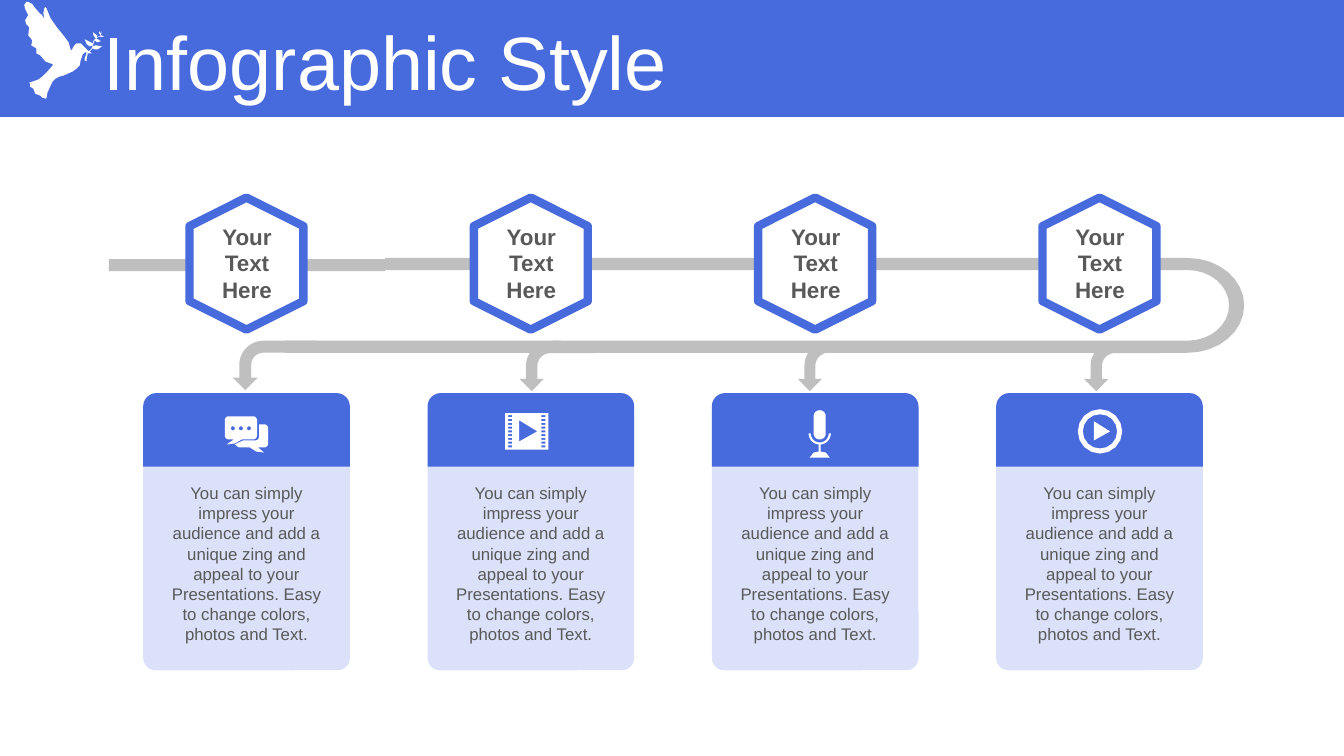
from dataclasses import dataclass
from math import cos, radians, sin

from pptx import Presentation
from pptx.dml.color import RGBColor
from pptx.enum.shapes import MSO_SHAPE as Preset
from pptx.enum.text import MSO_ANCHOR as Anchor, MSO_AUTO_SIZE as AutoSize, PP_ALIGN as Align
from pptx.util import Inches, Pt

COLORS = {"blue": "476ADD", "pale": "DAE1F8", "grey": "BFBFBF", "text": "595959", "white": "FFFFFF"}
FONT = "Arial"
PITCH = 2.82
STEP_TEXT = "Your Text Here"
CARD_TEXT = ("You can simply impress your audience and add a unique zing and appeal to your "
             "Presentations. Easy to change colors, photos and Text.")

Point = tuple[float, float]
Contour = list[Point]


@dataclass
class TurnArrow:
    top: float
    height: float
    thickness: float


ARROWS = [TurnArrow(3.21, 0.83, 0.24), TurnArrow(3.26, 0.75, 0.23),
          TurnArrow(3.22, 0.83, 0.22), TurnArrow(3.26, 0.75, 0.23)]

DOVE: Contour = [
    (0.35, 0.93), (0.33, 0.88), (0.3, 0.86), (0.3, 0.84), (0.29, 0.82), (0.32, 0.81), (0.38, 0.79),
    (0.42, 0.76), (0.47, 0.71), (0.53, 0.64), (0.45, 0.61), (0.4, 0.55), (0.36, 0.53), (0.36, 0.48),
    (0.31, 0.45), (0.32, 0.4), (0.28, 0.35), (0.29, 0.27), (0.26, 0.24), (0.25, 0.2), (0.28, 0.15),
    (0.25, 0.09), (0.24, 0.05), (0.26, 0.02), (0.28, 0.02), (0.32, 0.04), (0.34, 0.07), (0.4, 0.14),
    (0.41, 0.14), (0.44, 0.19), (0.43, 0.13), (0.44, 0.08), (0.45, 0.07), (0.46, 0.08), (0.5, 0.18),
    (0.57, 0.28), (0.62, 0.34), (0.68, 0.42), (0.7, 0.49), (0.71, 0.5), (0.73, 0.46), (0.76, 0.43),
    (0.8, 0.43), (0.85, 0.48), (0.88, 0.51), (0.91, 0.48), (0.92, 0.45), (0.89, 0.46), (0.86, 0.44),
    (0.84, 0.39), (0.88, 0.41), (0.92, 0.43), (0.93, 0.4), (0.95, 0.38), (0.93, 0.36), (0.92, 0.32),
    (0.96, 0.35), (0.96, 0.37), (1.0, 0.35), (0.98, 0.33), (0.99, 0.31), (1.0, 0.34), (1.01, 0.31),
    (1.0, 0.35), (1.03, 0.36), (1.01, 0.37), (0.99, 0.36), (0.95, 0.38), (0.97, 0.39), (1.0, 0.41),
    (0.96, 0.42), (0.94, 0.4), (0.93, 0.42), (0.92, 0.46), (0.95, 0.45), (1.01, 0.46), (0.97, 0.49),
    (0.94, 0.49), (0.92, 0.48), (0.89, 0.51), (0.91, 0.53), (0.87, 0.53), (0.86, 0.58), (0.86, 0.61),
    (0.84, 0.6), (0.84, 0.58), (0.86, 0.52), (0.84, 0.52), (0.82, 0.54), (0.81, 0.57), (0.8, 0.6),
    (0.79, 0.65), (0.76, 0.68), (0.72, 0.71), (0.63, 0.75), (0.59, 0.76), (0.55, 0.78), (0.52, 0.81),
    (0.47, 0.92), (0.46, 0.98), (0.42, 0.97), (0.4, 0.95)]


def arc(x: float, y: float, width: float, height: float, start: float, end: float) -> Contour:
    """Points along an ellipse with the given radii; degrees run clockwise from the right."""
    angles = [radians(start + (end - start) * step / 16) for step in range(17)]
    return [(x + width * cos(angle), y + height * sin(angle)) for angle in angles]


def circle(x: float, y: float, radius: float) -> Contour:
    return arc(x, y, radius, radius, 0, 360)


def block(left: float, top: float, right: float, bottom: float) -> Contour:
    return [(left, top), (right, top), (right, bottom), (left, bottom)]


def paint(shape, fill: str, line: str = "", weight: float = 0) -> None:
    shape.shadow.inherit = False
    shape.fill.solid()
    shape.fill.fore_color.rgb = RGBColor.from_string(COLORS[fill])
    if line:
        shape.line.color.rgb = RGBColor.from_string(COLORS[line])
        shape.line.width = Pt(weight)
    else:
        shape.line.fill.background()


def add_preset(page, kind, left: float, top: float, width: float, height: float, fill: str,
               line: str = "", weight: float = 0, rotation: float = 0, adjust: tuple = ()):
    shape = page.shapes.add_shape(kind, Inches(left), Inches(top), Inches(width), Inches(height))
    paint(shape, fill, line, weight)
    shape.rotation = rotation
    for index, value in enumerate(adjust):
        shape.adjustments[index] = value
    return shape


def add_outline(page, contours: list[Contour], fill: str) -> None:
    """Draw one freeform; a contour inside another becomes a hole."""
    scaled = [[(Inches(x), Inches(y)) for x, y in contour] for contour in contours]
    builder = page.shapes.build_freeform(*scaled[0][0], scale=1.0)
    for index, contour in enumerate(scaled):
        if index:
            builder.move_to(*contour[0])
        builder.add_line_segments(contour[1:], close=True)
    paint(builder.convert_to_shape(), fill)


def write(frame, text: str, size: float, color: str, bold: bool = False, align=Align.CENTER,
          spacing: float = 1.0) -> None:
    frame.word_wrap = True
    para = frame.paragraphs[0]
    para.alignment = align
    para.line_spacing = spacing
    para.space_before = Pt(0)
    span = para.add_run()
    span.text = text
    span.font.name = FONT
    span.font.size = Pt(size)
    span.font.bold = bold
    span.font.color.rgb = RGBColor.from_string(COLORS[color])


def add_label(page, left: float, top: float, width: float, height: float, text: str,
              size: float, bold: bool = False) -> None:
    box = page.shapes.add_textbox(Inches(left), Inches(top), Inches(width), Inches(height))
    write(box.text_frame, text, size, "text", bold)
    box.text_frame.auto_size = AutoSize.SHAPE_TO_FIT_TEXT


def add_header(page) -> None:
    title = page.shapes.title
    title.left, title.top, title.width, title.height = map(Inches, (0.93, 0.26, 11.85, 0.79))
    title.text_frame.vertical_anchor = Anchor.MIDDLE
    title.text_frame.auto_size = AutoSize.NONE
    write(title.text_frame, "Infographic Style", 54, "white", align=Align.LEFT, spacing=0.9)
    banner = add_preset(page, Preset.RECTANGLE, 0, 0, 13.33, 1.16, "blue")
    title.element.addprevious(banner.element)
    add_outline(page, [DOVE], "white")


def add_track(page) -> None:
    for left, top in ((1.08, 2.57), (2.83, 3.38)):
        add_preset(page, Preset.RECTANGLE, left, top, 2.74, 0.12, "grey")
    bend = ([(3.82, 2.56)] + arc(11.78, 3.03, 0.56, 0.47, -90, 90) + [(5.48, 3.5), (5.48, 3.38)]
            + arc(11.78, 3.03, 0.41, 0.35, 90, -90) + [(3.82, 2.68)])
    add_outline(page, [bend], "grey")
    for index, arrow in enumerate(ARROWS):
        shape = add_preset(page, Preset.BENT_ARROW, 2.48 + 2.8 * index, arrow.top, 0.49, arrow.height,
                           "grey", rotation=270, adjust=(arrow.thickness, 0.25, 0.25, 0.49))
        shape.element.spPr.xfrm.set("flipH", "1")


def add_step(page, shift: float) -> None:
    """Draw one hexagon with the card below it."""
    add_preset(page, Preset.HEXAGON, 1.79 + shift, 2.05, 1.31, 1.13, "white", "blue", 6, rotation=270)
    add_preset(page, Preset.ROUNDED_RECTANGLE, 1.42 + shift, 3.98, 2.05, 2.67, "pale", adjust=(0.06,))
    add_preset(page, Preset.ROUND_2_SAME_RECTANGLE, 1.42 + shift, 3.9, 2.05, 0.73, "blue",
               adjust=(0.18, 0))
    add_label(page, 1.93 + shift, 2.16, 1.04, 0.91, STEP_TEXT, 16, bold=True)
    add_label(page, 1.6 + shift, 4.74, 1.69, 1.72, CARD_TEXT, 12)


def chat_icon() -> list[Contour]:
    def corner(x: float, y: float, start: float, end: float) -> Contour:
        return arc(x, y, 0.04, 0.04, start, end)

    front = (corner(2.27, 4.17, 180, 270) + corner(2.51, 4.17, 270, 360) + corner(2.51, 4.32, 0, 90)
             + [(2.4, 4.36), (2.33, 4.4), (2.25, 4.41), (2.32, 4.36)] + corner(2.27, 4.32, 90, 180))
    rear = ([(2.57, 4.21)] + corner(2.62, 4.25, 270, 360) + corner(2.62, 4.4, 0, 90)
            + [(2.56, 4.44), (2.62, 4.49), (2.54, 4.48), (2.48, 4.44), (2.37, 4.44), (2.33, 4.41),
               (2.41, 4.37)] + corner(2.53, 4.33, 90, 0))
    return [front, rear] + [circle(2.31 + 0.08 * dot, 4.25, 0.02) for dot in range(3)]


def film_icon() -> list[Contour]:
    tops = [4.12 + 0.3 * row / 8 for row in range(9)]
    holes = [block(left, top, left + 0.04, top + 0.02) for left in (5.04, 5.37) for top in tops]
    return [block(5.01, 4.1, 5.44, 4.46), [(5.15, 4.17), (5.15, 4.38), (5.33, 4.28)]] + holes


def microphone_icon() -> list[Contour]:
    capsule = arc(8.13, 4.13, 0.06, 0.06, 180, 360) + arc(8.13, 4.3, 0.06, 0.06, 0, 180)
    stand = (arc(8.13, 4.3, 0.11, 0.11, 0, 85)
             + [(8.14, 4.48), (8.19, 4.49), (8.23, 4.54), (8.03, 4.54), (8.07, 4.49), (8.12, 4.48)]
             + arc(8.13, 4.3, 0.11, 0.11, 95, 180) + arc(8.13, 4.3, 0.09, 0.09, 180, 0))
    return [capsule, stand]


def play_icon() -> list[Contour]:
    return [circle(10.91, 4.28, 0.22), circle(10.91, 4.28, 0.17),
            [(10.85, 4.18), (11.01, 4.28), (10.85, 4.37)]]


def main() -> None:
    deck = Presentation()
    deck.slide_width, deck.slide_height = Inches(13.33), Inches(7.5)
    page = deck.slides.add_slide(deck.slide_layouts.get_by_name("Title Only"))
    add_header(page)
    add_track(page)
    for index, icon in enumerate((chat_icon, film_icon, microphone_icon, play_icon)):
        add_step(page, PITCH * index)
        add_outline(page, icon(), "white")
    deck.save("out.pptx")


if __name__ == "__main__":
    main()
